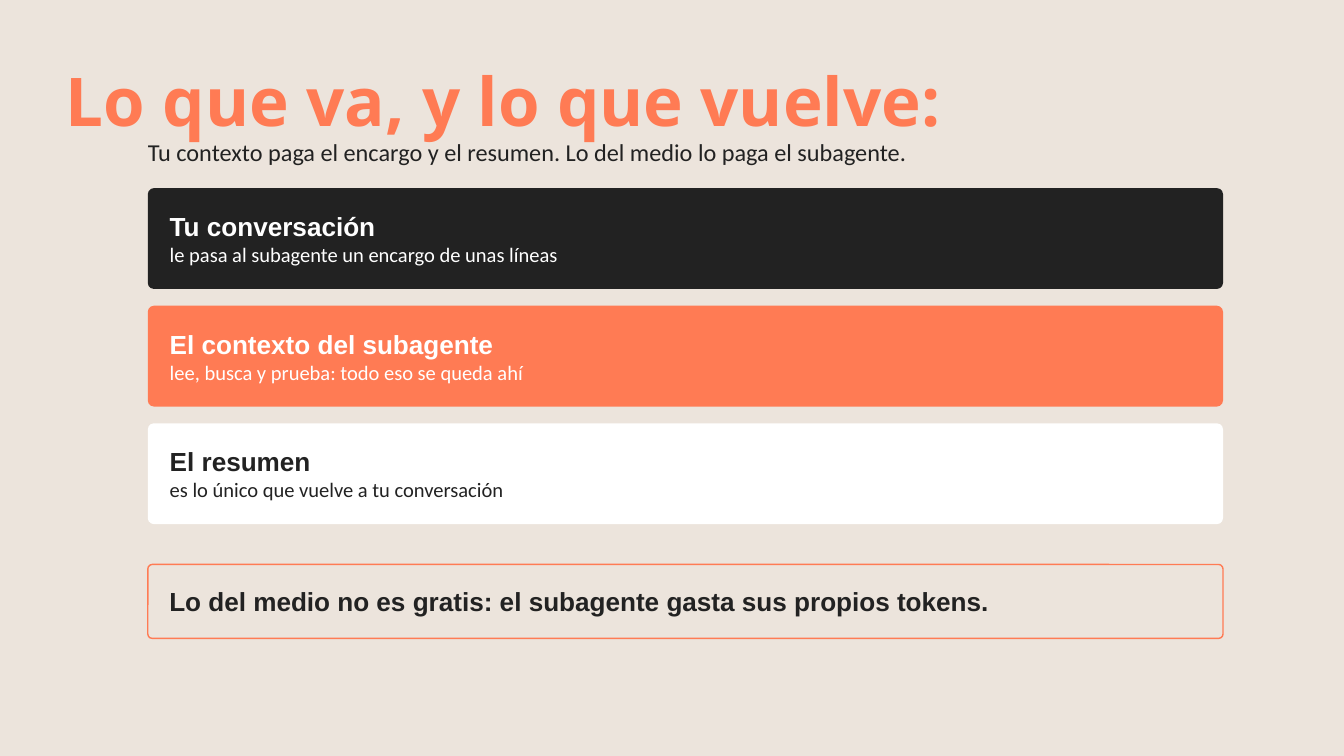
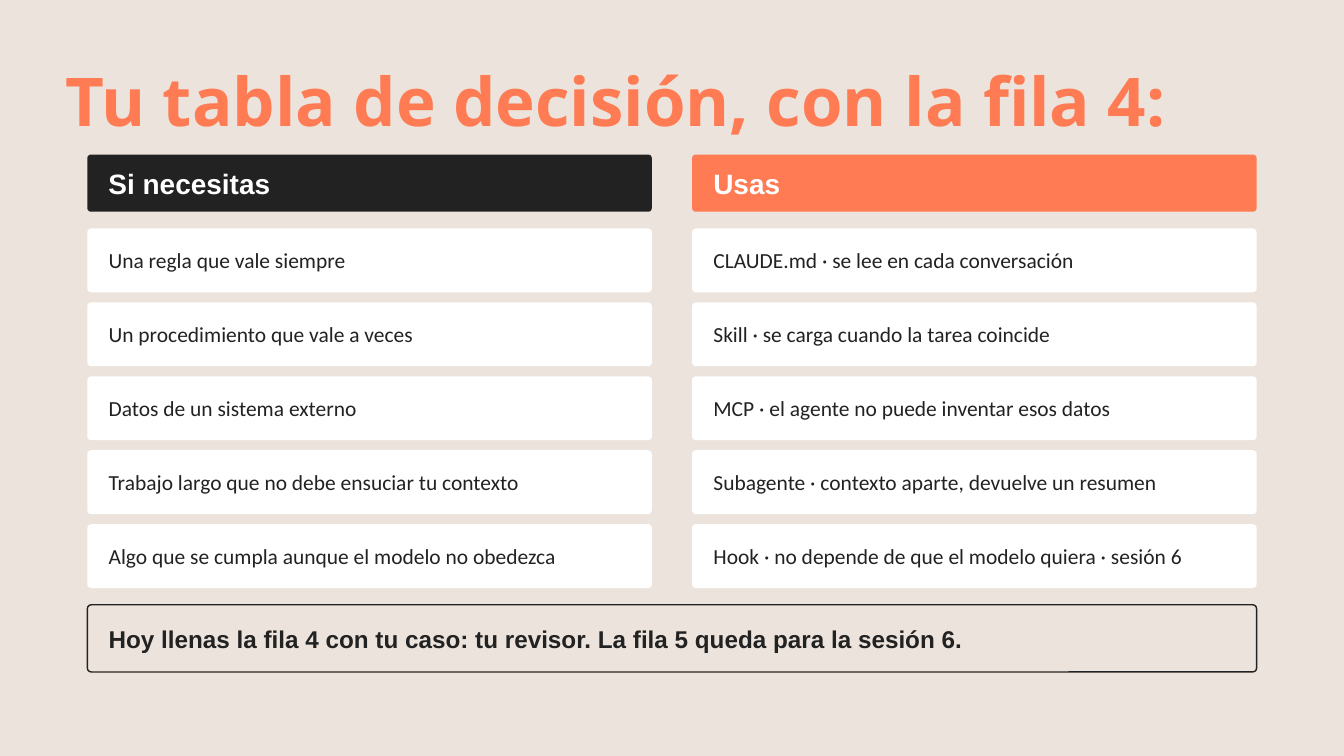
from pptx import Presentation
from pptx.dml.color import RGBColor
from pptx.enum.shapes import MSO_SHAPE as Preset
from pptx.enum.text import MSO_ANCHOR as Anchor, MSO_AUTO_SIZE as AutoSize, PP_ALIGN as Align
from pptx.util import Inches, Pt

SAND = RGBColor(0xEC, 0xE4, 0xDC)
CORAL = RGBColor(0xFF, 0x7B, 0x54)
INK = RGBColor(0x22, 0x22, 0x22)
WHITE = RGBColor(0xFF, 0xFF, 0xFF)


class Deck:
    """Hold the shared style and the current slide."""

    def __init__(self):
        self.presentation = Presentation()
        self.presentation.slide_width = Inches(20)
        self.presentation.slide_height = Inches(11.25)
        self.slide = None

    def add_slide(self, title, title_width):
        self.slide = self.presentation.slides.add_slide(self.presentation.slide_layouts[6])
        background = self.slide.background.fill
        background.solid()
        background.fore_color.rgb = SAND
        paragraph = self.text(title, 0.98, 0.69, title_width, 1.34, 72, "Open Sans", CORAL, True)
        paragraph.line_spacing = Pt(100.8)

    def style_text(self, paragraph, text, size, name, color, bold=False):
        run = paragraph.add_run()
        run.text = text
        for key, value in {"size": Pt(size), "name": name, "bold": bold}.items():
            setattr(run.font, key, value)
        run.font.color.rgb = color
        paragraph.alignment = Align.LEFT
        return paragraph

    def frame(self, shape, side, edge, **layout):
        layout |= {"margin_left": Inches(side), "margin_right": Inches(side),
                   "margin_top": Inches(edge), "margin_bottom": Inches(edge), "word_wrap": True}
        for key, value in layout.items():
            setattr(shape.text_frame, key, value)
        return shape.text_frame

    def text(self, text, left, top, width, height, size, name, color, bold=False):
        box = self.slide.shapes.add_textbox(Inches(left), Inches(top), Inches(width), Inches(height))
        text_frame = self.frame(box, 0, 0, auto_size=AutoSize.SHAPE_TO_FIT_TEXT)
        return self.style_text(text_frame.paragraphs[0], text, size, name, color, bold)

    def card(self, left, top, width, height, fill=None, line=None):
        shape = self.slide.shapes.add_shape(
            Preset.ROUNDED_RECTANGLE, Inches(left), Inches(top), Inches(width), Inches(height))
        shape.adjustments[0] = 0.06
        shape.shadow.inherit = False
        if fill is None:
            shape.fill.background()
        else:
            shape.fill.solid()
            shape.fill.fore_color.rgb = fill
        if line is None:
            shape.line.fill.background()
        else:
            shape.line.color.rgb = line
            shape.line.width = Pt(1.5)
        return self.frame(shape, 0.3, 0.1, vertical_anchor=Anchor.MIDDLE)

    def heading(self, text, left, top, width, height, size, color, fill=None, line=None):
        text_frame = self.card(left, top, width, height, fill, line)
        self.style_text(text_frame.paragraphs[0], text, size, "Arial", color, True)
        return text_frame

    def cell(self, text, left, top, width, height):
        text_frame = self.card(left, top, width, height, WHITE)
        self.style_text(text_frame.paragraphs[0], text, 23, "Calibri", INK)


def build_exchange(deck):
    deck.add_slide("Lo que va, y lo que vuelve:", 15.65)
    left, width = 2.2, 16
    deck.text("Tu contexto paga el encargo y el resumen. Lo del medio lo paga el subagente.",
              left, 2.05, width, 0.5, 26, "Calibri", INK)
    steps = [
        ("Tu conversación", "le pasa al subagente un encargo de unas líneas", INK, WHITE),
        ("El contexto del subagente", "lee, busca y prueba: todo eso se queda ahí", CORAL, WHITE),
        ("El resumen", "es lo único que vuelve a tu conversación", WHITE, INK),
    ]
    for index, (name, detail, fill, color) in enumerate(steps):
        text_frame = deck.heading(name, left, 2.8 + 1.75 * index, width, 1.5, 28, color, fill)
        deck.style_text(text_frame.add_paragraph(), detail, 22, "Calibri", color)
    deck.heading("Lo del medio no es gratis: el subagente gasta sus propios tokens.",
                 left, 8.4, width, 1.1, 28, INK, line=CORAL)


def build_decisions(deck):
    deck.add_slide("Tu tabla de decisión, con la fila 4:", 18)
    left, width, gap = 1.3, 8.4, 0.6
    columns = [
        ("Si necesitas", INK, [
            "Una regla que vale siempre",
            "Un procedimiento que vale a veces",
            "Datos de un sistema externo",
            "Trabajo largo que no debe ensuciar tu contexto",
            "Algo que se cumpla aunque el modelo no obedezca",
        ]),
        ("Usas", CORAL, [
            "CLAUDE.md · se lee en cada conversación",
            "Skill · se carga cuando la tarea coincide",
            "MCP · el agente no puede inventar esos datos",
            "Subagente · contexto aparte, devuelve un resumen",
            "Hook · no depende de que el modelo quiera · sesión 6",
        ]),
    ]
    for column, (header, fill, entries) in enumerate(columns):
        column_left = left + column * (width + gap)
        deck.heading(header, column_left, 2.3, width, 0.85, 30, WHITE, fill)
        for row, entry in enumerate(entries):
            deck.cell(entry, column_left, 3.4 + 1.1 * row, width, 0.95)
    deck.heading("Hoy llenas la fila 4 con tu caso: tu revisor. La fila 5 queda para la sesión 6.",
                 left, 9, 2 * width + gap, 1, 26, INK, line=INK)


def main():
    deck = Deck()
    build_exchange(deck)
    build_decisions(deck)
    deck.presentation.save("out.pptx")


if __name__ == "__main__":
    main()
